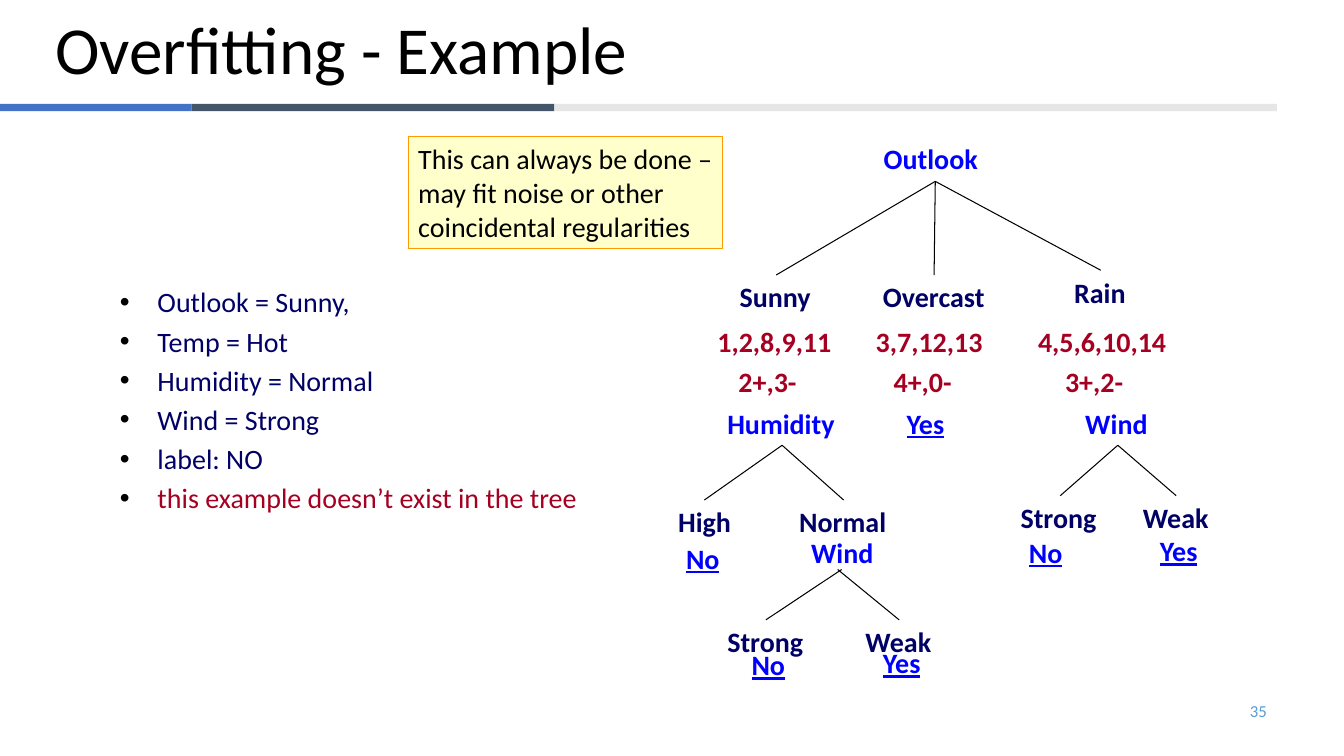
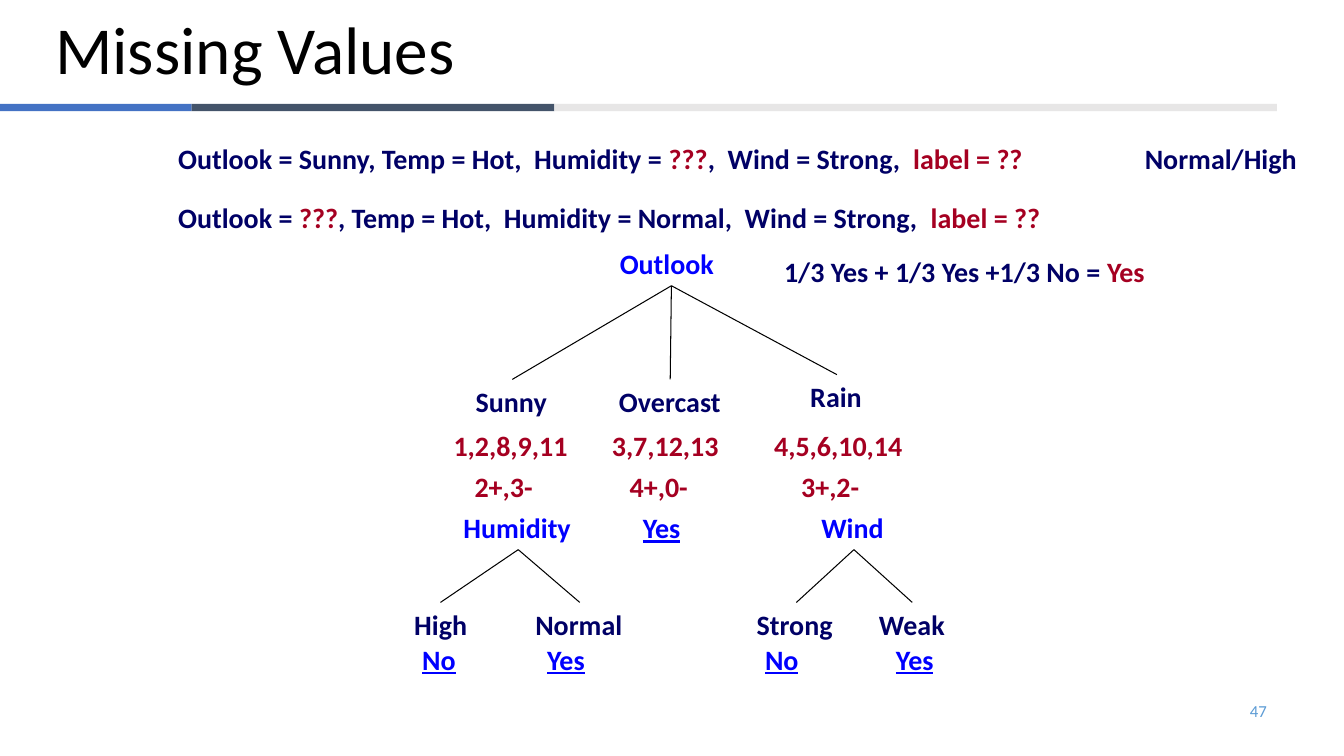
import pptx
import pptx.dml.color
import pptx.enum.shapes
import pptx.enum.text
import pptx.oxml
import pptx.oxml.ns
import pptx.util
from pptx.util import Cm

ALIGN = pptx.enum.text.PP_ALIGN
ANCHOR = pptx.enum.text.MSO_ANCHOR

COLOURS = {
    "text": "000000", "band_blue": "4472C4", "band_slate": "44546A",
    "band_grey": "E7E6E6", "number": "5B9BD5", "node": "0000FF",
    "value": "000066", "accent": "A50021", "note_fill": "FFFFCC",
    "note_line": "FF9900",
}
FONT = "Calibri"
LINE_HEIGHT = 1.11

# All lengths below are in centimetres.
BANDS = [("band_blue", 0, 4.83), ("band_slate", 4.83, 13.97), ("band_grey", 13.97, 32.18)]

LABEL_WIDTHS = {
    "Outlook": 3.07, "Overcast": 3.1, "Rain": 1.83, "Sunny": 2.31,
    "1,2,8,9,11": 3.4, "3,7,12,13": 3.23, "4,5,6,10,14": 3.76,
    "2+,3-": 1.98, "4+,0-": 1.98, "3+,2-": 1.98, "Humidity": 3.23,
    "Wind": 2.11, "High": 1.85, "Normal": 2.72, "Strong": 2.44,
    "Weak": 2.18, "Yes": 1.47, "No": 1.37,
}

# Tree parts are placed relative to the point below the root label.
# Labels: text, left, top. Branches: start, end.
UPPER_LABELS = {
    "node": [("Outlook", -1.55, -1.12), ("Humidity", -5.49, 5.54), ("Wind", 3.53, 5.54)],
    "value": [("Sunny", -5.18, 2.36), ("Overcast", -1.57, 2.36), ("Rain", 3.25, 2.24)],
    "accent": [("1,2,8,9,11", -5.74, 3.48), ("3,7,12,13", -1.75, 3.48),
               ("4,5,6,10,14", 2.34, 3.48), ("2+,3-", -5.21, 4.5),
               ("4+,0-", -1.3, 4.5), ("3+,2-", 3.02, 4.5)],
    "leaf": [("Yes", -0.97, 5.54)],
}
UPPER_BRANCHES = [((0, 0), end) for end in [(-4.01, 2.36), (-0.03, 2.36), (4.17, 2.24)]]


def lower_tree(humidity_top, wind_top, high_leaf_top, strong_leaf_top, weak_leaf_top):
    """Labels and branches below Humidity and Wind, for the given row tops."""
    labels = {
        "value": [("High", -6.73, humidity_top), ("Normal", -3.68, humidity_top),
                  ("Strong", 1.9, wind_top), ("Weak", 4.98, wind_top)],
        "leaf": [("No", -6.53, high_leaf_top), ("No", 2.11, strong_leaf_top),
                 ("Yes", 5.41, weak_leaf_top)],
    }
    forks = [((-3.86, 6.65), (-5.82, -2.31), humidity_top),
             ((4.6, 6.65), (3.15, 6.07), wind_top)]
    return labels, [(apex, (x, top)) for apex, ends, top in forks for x in ends]


OVERFITTING_TREE = {
    "apex": (23.57, 4.57),
    "lower": lower_tree(8.03, 7.92, 8.94, 8.79, 8.76),
    "labels": {
        "node": [("Wind", -3.38, 8.79)],
        "value": [("Strong", -5.49, 11.05), ("Weak", -2.01, 11.05)],
        "leaf": [("No", -4.88, 11.63), ("Yes", -1.57, 11.58)],
    },
    "branches": [((-2.36, 9.78), (-4.27, 11.05)), ((-2.46, 9.78), (-0.91, 11.05))],
}
MISSING_TREE = {
    "apex": (16.92, 7.2),
    "lower": lower_tree(7.98, 7.98, 8.86, 8.86, 8.86),
    "labels": {"leaf": [("Yes", -3.38, 8.86)]},
    "branches": [],
}

NOTE = "This can always be done – may fit noise or other coincidental regularities"
EXAMPLE = [
    [("Outlook = Sunny,", "value")],
    [("Temp = Hot", "value")],
    [("Humidity = Normal", "value")],
    [("Wind = Strong", "value")],
    [("label: NO", "value")],
    [("this example doesn’t exist in the tree", "accent")],
]
# Left, top, width, spans
QUERIES = [
    (4.24, 3.43, 22.43, [("Outlook = Sunny, Temp = Hot,  Humidity = ", "value"),
                         ("???", "accent"), (",  Wind = Strong,  ", "value"),
                         ("label = ??", "accent")]),
    (28.6, 3.45, 4.37, [("Normal/High", "value")]),
    (4.24, 4.93, 22.38, [("Outlook = ", "value"), ("???", "accent"),
                         (", Temp = Hot,  Humidity = Normal,  Wind = Strong,  ", "value"),
                         ("label = ??", "accent")]),
    (19.51, 6.3, 9.68, [("1/3 Yes + 1/3 Yes +1/3 No = ", "value"), ("Yes", "accent")]),
]


def rgb(name):
    return pptx.dml.color.RGBColor.from_string(COLOURS[name])


def add_bullet(para, indent):
    properties = para._p.get_or_add_pPr()
    properties.set("marL", str(Cm(indent)))
    properties.set("indent", str(-Cm(indent)))
    namespace = pptx.oxml.ns.nsdecls("a")
    for markup in (
        f'<a:buClr {namespace}><a:srgbClr val="{COLOURS["text"]}"/></a:buClr>',
        f'<a:buFont {namespace} typeface="Arial"/>',
        f'<a:buChar {namespace} char="•"/>',
    ):
        properties.append(pptx.oxml.parse_xml(markup))


def write_text(box, paragraphs, size=20, bold=False, underline=False, align=ALIGN.LEFT,
               anchor=ANCHOR.TOP, wrap=True, bullets=False, spacing=None, gap=0):
    """Fill a box with paragraphs, each a list of (text, colour name) spans."""
    frame = box.text_frame
    frame.word_wrap = wrap
    frame.vertical_anchor = anchor
    for index, spans in enumerate(paragraphs):
        para = frame.add_paragraph() if index else frame.paragraphs[0]
        if bullets:
            add_bullet(para, 0.95)
        para.alignment = align
        if spacing:
            para.line_spacing = spacing
        if index and gap:
            para.space_before = pptx.util.Pt(gap)
        for text, colour in spans:
            span = para.add_run()
            span.text = text
            span.font.name = FONT
            span.font.size = pptx.util.Pt(size)
            span.font.bold = bold
            span.font.underline = underline
            span.font.color.rgb = rgb(colour)


def add_text(shapes, paragraphs, left, top, width, height=LINE_HEIGHT, **text_format):
    box = shapes.add_textbox(Cm(left), Cm(top), Cm(width), Cm(height))
    write_text(box, paragraphs, **text_format)
    return box


def add_rectangle(shapes, left, top, width, height, fill, line=None):
    box = shapes.add_shape(pptx.enum.shapes.MSO_SHAPE.RECTANGLE,
                           Cm(left), Cm(top), Cm(width), Cm(height))
    box.shadow.inherit = False
    box.fill.solid()
    box.fill.fore_color.rgb = rgb(fill)
    if line:
        box.line.color.rgb = rgb(line)
        box.line.width = pptx.util.Pt(0.75)
    else:
        box.line.fill.background()
    return box


def add_branch(shapes, start, end):
    branch = shapes.add_connector(pptx.enum.shapes.MSO_CONNECTOR.STRAIGHT,
                                  *(Cm(value) for value in (*start, *end)))
    branch.line.color.rgb = rgb("text")
    branch.line.width = pptx.util.Pt(0.75)
    effects = f'<a:effectLst {pptx.oxml.ns.nsdecls("a")}/>'
    branch._element.spPr.append(pptx.oxml.parse_xml(effects))


def add_tree(page, tree):
    shapes = page.shapes.add_group_shape().shapes
    apex_x, apex_y = tree["apex"]
    lower_labels, lower_branches = tree["lower"]
    for branch in UPPER_BRANCHES + lower_branches + tree["branches"]:
        add_branch(shapes, *((apex_x + x, apex_y + y) for x, y in branch))
    for labels in (UPPER_LABELS, lower_labels, tree["labels"]):
        for role, entries in labels.items():
            is_leaf = role == "leaf"
            colour = "node" if is_leaf else role
            for text, left, top in entries:
                add_text(shapes, [[(text, colour)]], apex_x + left, apex_y + top,
                         LABEL_WIDTHS[text], bold=True, underline=is_leaf, wrap=False)


def add_page(deck, title, number):
    page = deck.slides.add_slide(deck.slide_layouts[6])
    for fill, left, right in BANDS:
        add_rectangle(page.shapes, left, 2.62, right - left, 0.18, fill)
    add_text(page.shapes, [[(title, "text")]], 1.14, 0.05, 30.48, 2.57,
             size=48, anchor=ANCHOR.MIDDLE, spacing=0.9)
    add_text(page.shapes, [[(number, "number")]], 24.28, 17.4, 7.9, 1.02,
             size=12, align=ALIGN.RIGHT, anchor=ANCHOR.MIDDLE)
    return page


def add_overfitting_page(deck):
    page = add_page(deck, "Overfitting - Example", "35")
    add_tree(page, OVERFITTING_TREE)
    note = add_rectangle(page.shapes, 10.29, 3.45, 7.92, 2.82, "note_fill", "note_line")
    write_text(note, [[(NOTE, "text")]])
    example = add_text(page.shapes, EXAMPLE, 2.69, 7, 13.69, 6.2, bullets=True, gap=4)
    frame = example.text_frame
    frame.margin_left = frame.margin_right = Cm(0.33)
    frame.margin_top = frame.margin_bottom = Cm(0.18)


def add_missing_values_page(deck):
    page = add_page(deck, "Missing Values", "47")
    add_tree(page, MISSING_TREE)
    for left, top, width, spans in QUERIES:
        add_text(page.shapes, [spans], left, top, width, bold=True, wrap=False)


def main():
    deck = pptx.Presentation()
    deck.slide_width, deck.slide_height = Cm(33.87), Cm(19.05)
    add_overfitting_page(deck)
    add_missing_values_page(deck)
    deck.save("out.pptx")


if __name__ == "__main__":
    main()
